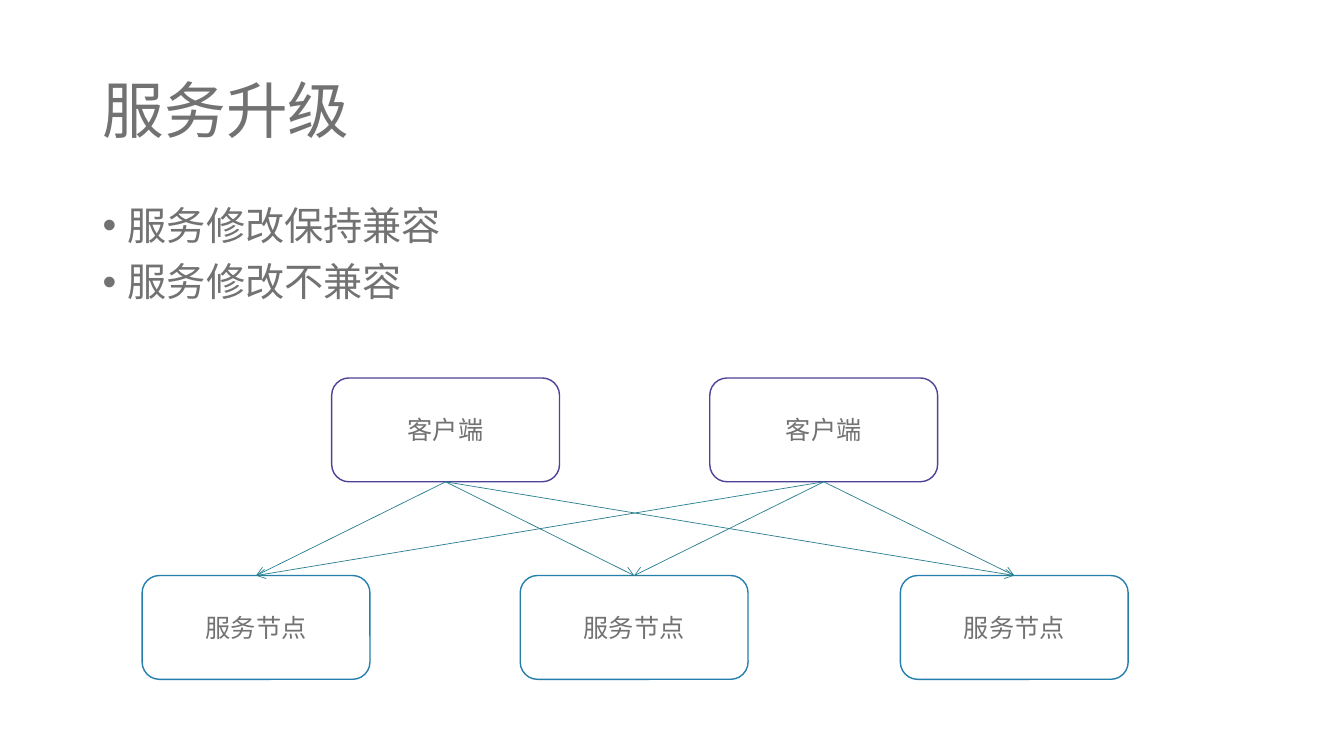
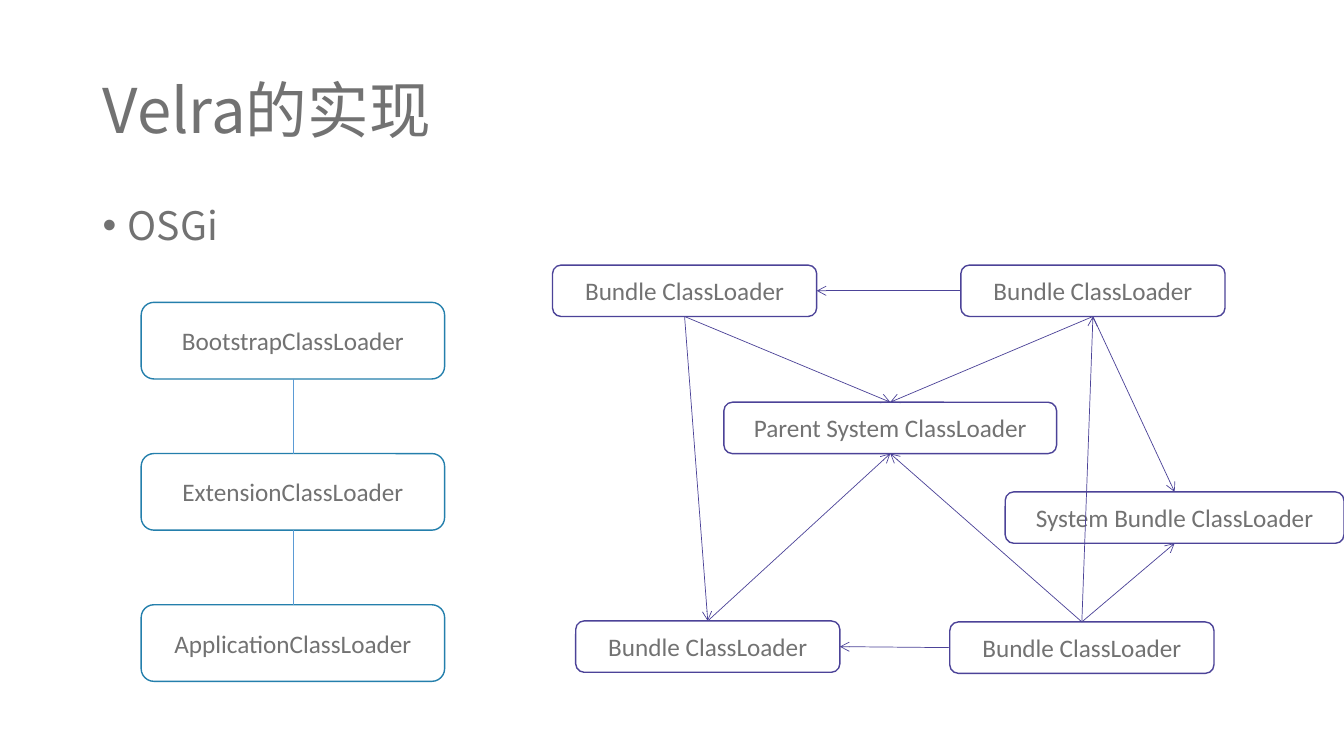
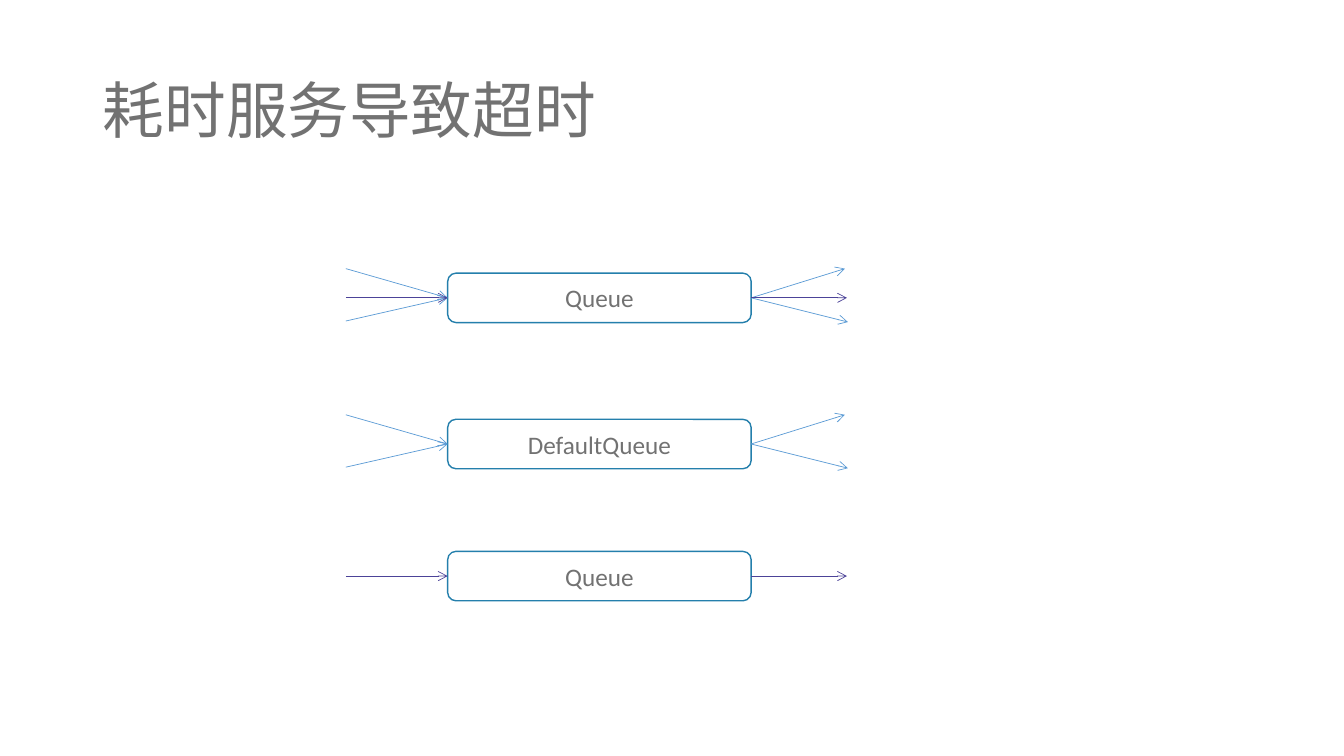
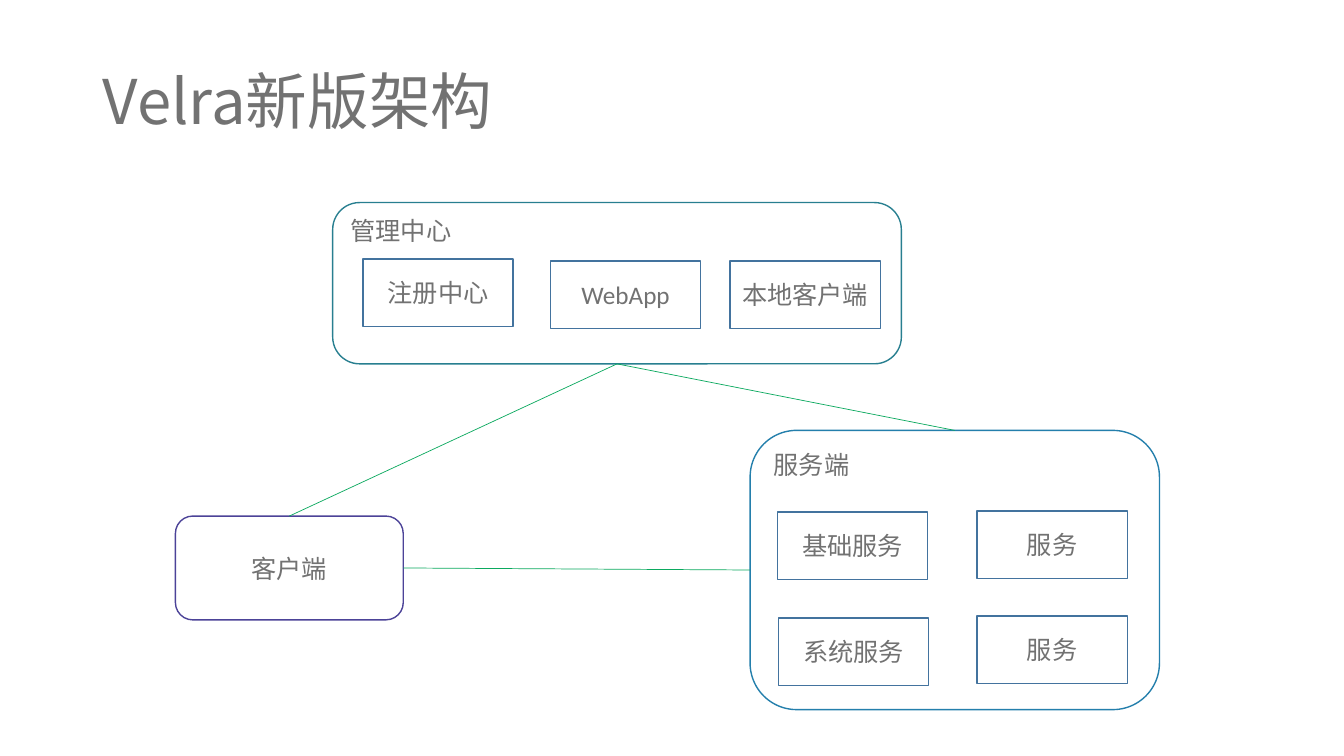
import pptx
import pptx.dml.color
import pptx.enum.shapes
import pptx.enum.text
import pptx.oxml
import pptx.oxml.ns
import pptx.util
from lxml import etree

Inches = pptx.util.Inches
ANCHOR = pptx.enum.text.MSO_ANCHOR
ALIGN = pptx.enum.text.PP_ALIGN
ROUNDED = pptx.enum.shapes.MSO_SHAPE.ROUNDED_RECTANGLE
RECTANGLE = pptx.enum.shapes.MSO_SHAPE.RECTANGLE
TOP, LEFT, BOTTOM, RIGHT = range(4)  # connection sites of a box

GREY, BLUE, PURPLE, TEAL = "727272", "247FAC", "4C4398", "287F90"
SKY, GREEN, STEEL = "5B9BD5", "0BA95F", "43739E"
CJK_FONT, LATIN_FONT = "Noto Sans CJK SC", "Calibri"


def color(value):
    """Turn a hex string into a colour."""
    return pptx.dml.color.RGBColor.from_string(value)


def add_element(parent, tag, **attributes):
    """Append a drawing element to an XML parent."""
    return etree.SubElement(parent, pptx.oxml.ns.qn(tag), **attributes)


def format_text(frame, size, font):
    """Give all runs of a frame the shared colour and the chosen font."""
    for para in frame.paragraphs:
        for span in para.runs:
            span.font.size = pptx.util.Pt(size)
            span.font.color.rgb = color(GREY)
            span.font.name = font
            add_element(span.font._element, "a:ea", typeface=CJK_FONT)


def add_page(deck, title, top=0.4):
    """Add a title-only slide with the shared title style."""
    page = deck.slides.add_slide(deck.slide_layouts[5])
    holder = page.shapes.title
    holder.left, holder.top = Inches(0.92), Inches(top)
    holder.width, holder.height = Inches(11.5), Inches(1.45)
    frame = holder.text_frame
    frame.text = title
    frame.word_wrap = True
    frame.auto_size = pptx.enum.text.MSO_AUTO_SIZE.NONE
    frame.vertical_anchor = ANCHOR.MIDDLE
    frame.paragraphs[0].alignment = ALIGN.LEFT
    frame.paragraphs[0].line_spacing = 0.9
    format_text(frame, 44, CJK_FONT)
    return page


def add_bullets(page, lines):
    """Add the bulleted body text below the title."""
    body = page.shapes.add_textbox(Inches(0.92), Inches(2), Inches(11.5), Inches(4.76))
    frame = body.text_frame
    frame.word_wrap = True
    frame.text = "\n".join(lines)
    for para in frame.paragraphs:
        para.line_spacing = 0.9
        para.space_before = pptx.util.Pt(10)
        properties = para._p.get_or_add_pPr()
        properties.set("marL", str(Inches(0.25)))
        properties.set("indent", str(-Inches(0.25)))
        add_element(properties, "a:buFont", typeface="Arial")
        add_element(properties, "a:buChar", char="•")
    format_text(frame, 28, CJK_FONT)


def add_box(page, text, left, top, width, height, line, kind=ROUNDED):
    """Add an unfilled, outlined box with a centred label."""
    box = page.shapes.add_shape(kind, Inches(left), Inches(top), Inches(width), Inches(height))
    box.shadow.inherit = False
    box.fill.background()
    box.line.color.rgb = color(line)
    box.line.width = pptx.util.Pt(1)
    frame = box.text_frame
    frame.text = text
    frame.word_wrap = True
    frame.vertical_anchor = ANCHOR.MIDDLE
    frame.paragraphs[0].alignment = ALIGN.CENTER
    format_text(frame, 18, LATIN_FONT)
    return box


def add_group_box(page, text, left, top, width, height, line, parts):
    """Add a box labelled at its top left, with (label, dx, dy) parts inside."""
    group = add_box(page, text, left, top, width, height, line)
    group.text_frame.vertical_anchor = ANCHOR.TOP
    group.text_frame.paragraphs[0].alignment = ALIGN.LEFT
    for label, across, down in parts:
        add_box(page, label, left + across, top + down, 1.49, 0.67, STEEL, RECTANGLE)
    return group


def add_line(page, line, start=(0, 0), end=(0, 0), arrow=True):
    """Draw a thin straight line between two points in inches."""
    link = page.shapes.add_connector(
        pptx.enum.shapes.MSO_CONNECTOR.STRAIGHT, *map(Inches, (*start, *end)))
    link.line.color.rgb = color(line)
    link.line.width = pptx.util.Pt(0.5)
    if arrow:
        add_element(link.line._get_or_add_ln(), "a:tailEnd", type="arrow")
    add_element(link._element.spPr, "a:effectLst")
    return link


def join(page, line, source, source_site, target, target_site, arrow=True):
    """Connect two boxes at the given sites."""
    link = add_line(page, line, arrow=arrow)
    link.begin_connect(source, source_site)
    link.end_connect(target, target_site)


def add_queue(page, text, top, offsets):
    """Add a queue with arrows in and out; offsets hold (colour, in, out) points."""
    left, width, height = 4.44, 3.01, 0.49
    add_box(page, text, left, top, width, height, BLUE)
    right, middle = left + width, top + height / 2
    for line, (in_x, in_y), (out_x, out_y) in offsets:
        add_line(page, line, (left + in_x, middle + in_y), (left, middle))
        add_line(page, line, (right, middle), (right + out_x, middle + out_y))


def build_upgrade(deck):
    """Clients linked to every service node."""
    page = add_page(deck, "服务升级")
    add_bullets(page, ["服务修改保持兼容", "服务修改不兼容"])
    nodes = [add_box(page, "服务节点", left, 5.71, 2.26, 1.03, BLUE)
             for left in (1.41, 5.16, 8.93)]
    clients = [add_box(page, "客户端", left, 3.75, 2.26, 1.03, PURPLE)
               for left in (3.29, 7.04)]
    for client in clients:
        for node in nodes:
            join(page, TEAL, client, BOTTOM, node, TOP)


def add_loader_chain(page, left, top):
    """Stack the standard class loaders and link them."""
    names = ("BootstrapClassLoader", "ExtensionClassLoader", "ApplicationClassLoader")
    chain = [add_box(page, name, left, top + 1.5 * row, 3.01, 0.76, BLUE)
             for row, name in enumerate(names)]
    for upper, lower in zip(chain, chain[1:]):
        join(page, SKY, upper, BOTTOM, lower, TOP, arrow=False)


def add_bundle_network(page):
    """Draw the bundle class loaders and their delegation arrows."""
    def loader(name, left, top, width=2.62):
        """Add one class loader box."""
        return add_box(page, name + " ClassLoader", left, top, width, 0.51, PURPLE)

    lower_right = loader("Bundle", 9.42, 6.17)
    lower_left = loader("Bundle", 5.71, 6.16)
    upper_left = loader("Bundle", 5.48, 2.63)
    upper_right = loader("Bundle", 9.53, 2.63)
    system = loader("System Bundle", 9.97, 4.88, 3.36)
    parent = loader("Parent System", 7.18, 3.99, 3.3)
    for link in (
        (upper_right, LEFT, upper_left, RIGHT),
        (upper_right, BOTTOM, parent, TOP),
        (upper_right, BOTTOM, system, TOP),
        (upper_left, BOTTOM, parent, TOP),
        (upper_left, BOTTOM, lower_left, TOP),
        (lower_left, TOP, parent, BOTTOM),
        (lower_right, LEFT, lower_left, RIGHT),
        (lower_right, TOP, parent, BOTTOM),
        (lower_right, TOP, system, BOTTOM),
        (lower_right, TOP, upper_right, BOTTOM),
    ):
        join(page, PURPLE, *link)


def build_implementation(deck):
    """Class loader chain beside the bundle network."""
    page = add_page(deck, "Velra的实现")
    add_bullets(page, ["OSGi"])
    add_loader_chain(page, 1.4, 3)
    add_bundle_network(page)


def build_timeout(deck):
    """One mixed queue, then the same traffic split over two queues."""
    page = add_page(deck, "耗时服务导致超时")
    fast = [(SKY, (-1.01, -0.29), (0.93, -0.29)), (SKY, (-1.01, 0.23), (0.96, 0.24))]
    slow = [(PURPLE, (-1.01, 0), (0.95, 0))]
    add_queue(page, "Queue", 2.71, fast + slow)
    add_queue(page, "DefaultQueue", 4.16, fast)
    add_queue(page, "Queue", 5.47, slow)


def build_architecture(deck):
    """Management centre, client and server joined in a triangle."""
    page = add_page(deck, "Velra新版架构", top=0.31)
    server = add_group_box(page, "服务端", 7.44, 4.27, 4.06, 2.77, BLUE, [
        ("基础服务", 0.27, 0.81), ("服务", 2.25, 0.8),
        ("系统服务", 0.28, 1.86), ("服务", 2.25, 1.84)])
    client = add_box(page, "客户端", 1.74, 5.12, 2.26, 1.03, PURPLE)
    centre = add_group_box(page, "管理中心", 3.3, 2.01, 5.64, 1.6, TEAL, [
        ("注册中心", 0.3, 0.56), ("WebApp", 2.16, 0.58), ("本地客户端", 3.94, 0.58)])
    join(page, GREEN, client, RIGHT, server, LEFT, arrow=False)
    join(page, GREEN, client, TOP, centre, BOTTOM, arrow=False)
    join(page, GREEN, centre, BOTTOM, server, TOP, arrow=False)


deck = pptx.Presentation()
deck.slide_width, deck.slide_height = Inches(13.33), Inches(7.5)
for build in (build_upgrade, build_implementation, build_timeout, build_architecture):
    build(deck)
deck.save("out.pptx")
